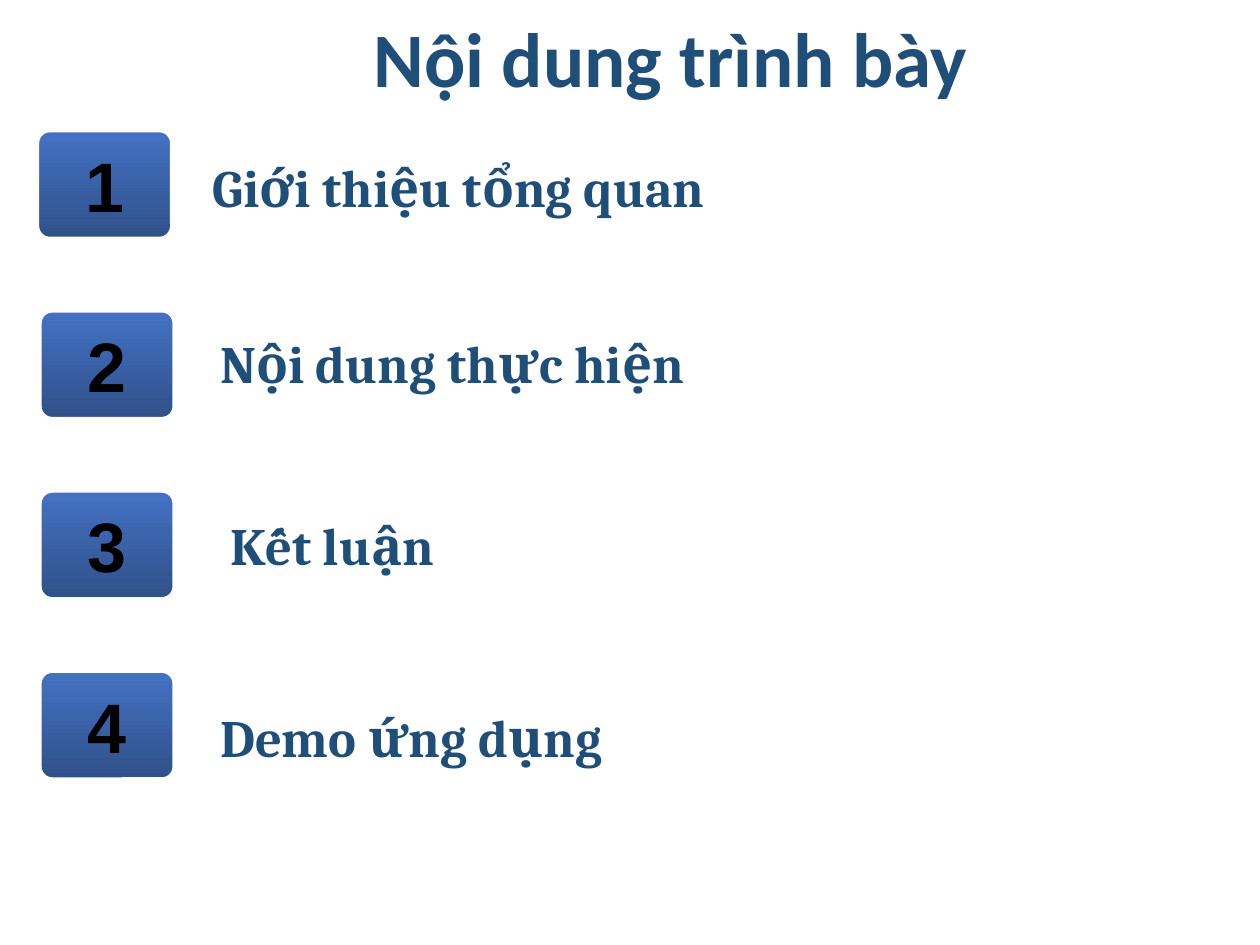
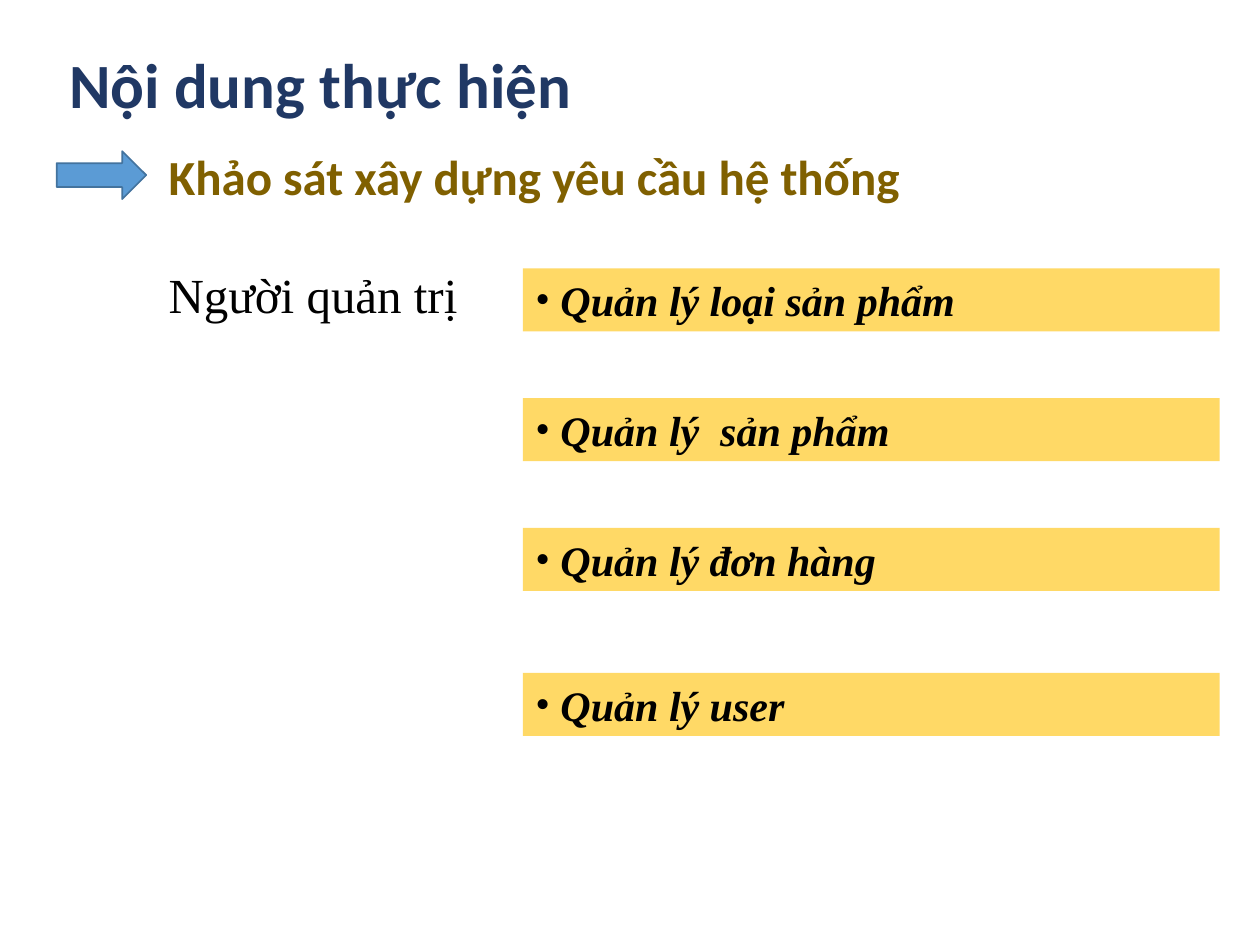
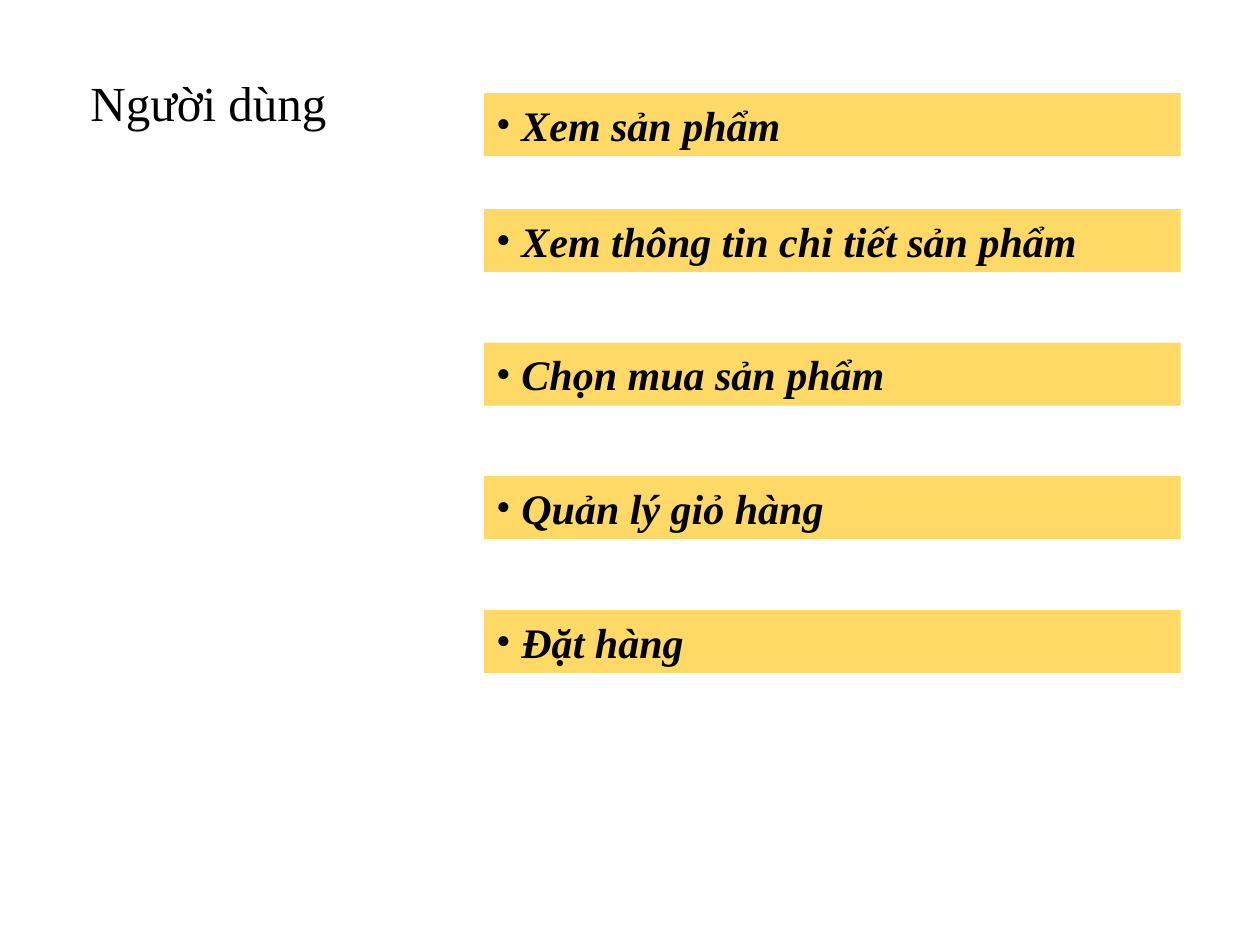
"""Build a three-slide outline of a shop application project."""
import dataclasses

import pptx
import pptx.dml.color
import pptx.enum.shapes
import pptx.enum.text
import pptx.oxml
import pptx.oxml.ns
import pptx.util

Inches = pptx.util.Inches
Pt = pptx.util.Pt
SHAPE = pptx.enum.shapes.MSO_SHAPE
ANCHOR = pptx.enum.text.MSO_ANCHOR
ALIGN = pptx.enum.text.PP_ALIGN
AUTO_SIZE = pptx.enum.text.MSO_AUTO_SIZE


@dataclasses.dataclass(frozen=True)
class Style:
    font: str
    size: int
    color: str
    bold: bool = True
    italic: bool = False


@dataclasses.dataclass(frozen=True)
class Theme:
    agenda_title: Style = Style("Calibri", 44, "1F4E79")
    agenda_item: Style = Style("Cambria", 30, "1F4E79")
    badge: Style = Style("Arial", 40, "000000")
    title: Style = Style("Calibri", 36, "203864")
    subtitle: Style = Style("Calibri", 28, "806000")
    role: Style = Style("Times New Roman", 28, "000000", bold=False)
    feature: Style = Style("Times New Roman", 24, "000000", italic=True)
    badge_top: str = "4472C4"
    badge_bottom: str = "305089"
    badge_line: str = "FFFFFF"
    bar: str = "FFD966"
    arrow: str = "5B9BD5"
    arrow_line: str = "43739E"


def rgb(color):
    return pptx.dml.color.RGBColor.from_string(color)


class Deck:
    def __init__(self, theme):
        self.theme = theme
        self.prs = pptx.Presentation()
        self.prs.slide_width = Inches(10)
        self.prs.slide_height = Inches(7.5)
        self.s = None

    def slide(self):
        self.s = self.prs.slides.add_slide(self.prs.slide_layouts[6])

    def label(self, sp, text, style, align=ALIGN.LEFT, anchor=ANCHOR.TOP, wrap=True):
        tf = sp.text_frame
        tf.word_wrap = wrap
        tf.vertical_anchor = anchor
        p = tf.paragraphs[0]
        p.alignment = align
        r = p.add_run()
        r.text = text
        r.font.name = style.font
        r.font.size = Pt(style.size)
        r.font.bold = style.bold
        r.font.italic = style.italic
        r.font.color.rgb = rgb(style.color)
        return p

    def text(self, text, style, left, top, width, height, **layout):
        sp = self.s.shapes.add_textbox(Inches(left), Inches(top), Inches(width), Inches(height))
        self.label(sp, text, style, **layout)
        sp.text_frame.auto_size = AUTO_SIZE.SHAPE_TO_FIT_TEXT

    def shape(self, kind, left, top, width, height):
        sp = self.s.shapes.add_shape(kind, Inches(left), Inches(top), Inches(width), Inches(height))
        sp.shadow.inherit = False
        return sp

    def badge(self, number, left, top):
        sp = self.shape(SHAPE.ROUNDED_RECTANGLE, left, top, 1.08, 0.87)
        sp.adjustments[0] = 0.12
        sp.fill.gradient()
        sp.fill.gradient_angle = 270
        for stop, color in zip(sp.fill.gradient_stops, (self.theme.badge_top, self.theme.badge_bottom)):
            stop.color.rgb = rgb(color)
        sp.line.color.rgb = rgb(self.theme.badge_line)
        sp.line.width = Pt(3)
        self.label(sp, str(number), self.theme.badge, align=ALIGN.CENTER, anchor=ANCHOR.MIDDLE, wrap=False)

    def arrow(self, left, top, width, height):
        sp = self.shape(SHAPE.RIGHT_ARROW, left, top, width, height)
        sp.fill.solid()
        sp.fill.fore_color.rgb = rgb(self.theme.arrow)
        sp.line.color.rgb = rgb(self.theme.arrow_line)
        sp.line.width = Pt(1)

    def bullet(self, p, font):
        pPr = p._p.get_or_add_pPr()
        pPr.set("marL", str(Inches(0.2)))
        pPr.set("indent", str(-Inches(0.2)))
        for tag, name, value in (("buFont", "typeface", font), ("buChar", "char", "•")):
            el = pptx.oxml.parse_xml(f"<a:{tag} {pptx.oxml.ns.nsdecls('a')}/>")
            el.set(name, value)
            pPr.append(el)

    def features(self, left, items):
        for top, text in items:
            sp = self.shape(SHAPE.RECTANGLE, left, top, 5.53, 0.5)
            sp.fill.solid()
            sp.fill.fore_color.rgb = rgb(self.theme.bar)
            sp.line.fill.background()
            p = self.label(sp, text, self.theme.feature)
            self.bullet(p, self.theme.feature.font)
            sp.text_frame.auto_size = AUTO_SIZE.SHAPE_TO_FIT_TEXT


def agenda(deck):
    deck.slide()
    deck.text("Nội dung trình bày", deck.theme.agenda_title, 2.71, 0.03, 5.23, 0.84,
              align=ALIGN.CENTER, anchor=ANCHOR.MIDDLE, wrap=False)
    items = (
        ("Giới thiệu tổng quan", 0.29, 1.59, 1.18),
        ("Nội dung thực hiện", 0.31, 1.65, 2.58),
        ("Kết luận", 0.31, 1.73, 4.02),
        ("Demo ứng dụng", 0.31, 1.65, 5.55),
    )
    for i, (text, badge_left, left, top) in enumerate(items):
        deck.text(text, deck.theme.agenda_item, left, top, 7, 0.61)
        deck.badge(i + 1, badge_left, 1.03 + 1.43 * i)


def admin(deck):
    deck.slide()
    deck.text("Nội dung thực hiện", deck.theme.title, 0.45, 0.31, 7.42, 0.71)
    deck.arrow(0.45, 1.2, 0.71, 0.38)
    deck.text("Khảo sát xây dựng yêu cầu hệ thống", deck.theme.subtitle, 1.24, 1.11, 6.36, 0.57)
    deck.text("Người quản trị", deck.theme.role, 1.24, 2.05, 2.8, 0.57)
    deck.features(4.15, (
        (2.13, "Quản lý loại sản phẩm"),
        (3.16, "Quản lý  sản phẩm"),
        (4.19, "Quản lý đơn hàng"),
        (5.34, "Quản lý user"),
    ))


def user(deck):
    deck.slide()
    deck.text("Người dùng", deck.theme.role, 0.62, 0.53, 3.1, 0.57)
    deck.features(3.84, (
        (0.74, "Xem sản phẩm"),
        (1.66, "Xem thông tin chi tiết sản phẩm"),
        (2.72, "Chọn mua sản phẩm"),
        (3.78, "Quản lý giỏ hàng"),
        (4.84, "Đặt hàng"),
    ))


def main():
    deck = Deck(Theme())
    agenda(deck)
    admin(deck)
    user(deck)
    deck.prs.save("out.pptx")


if __name__ == "__main__":
    main()
